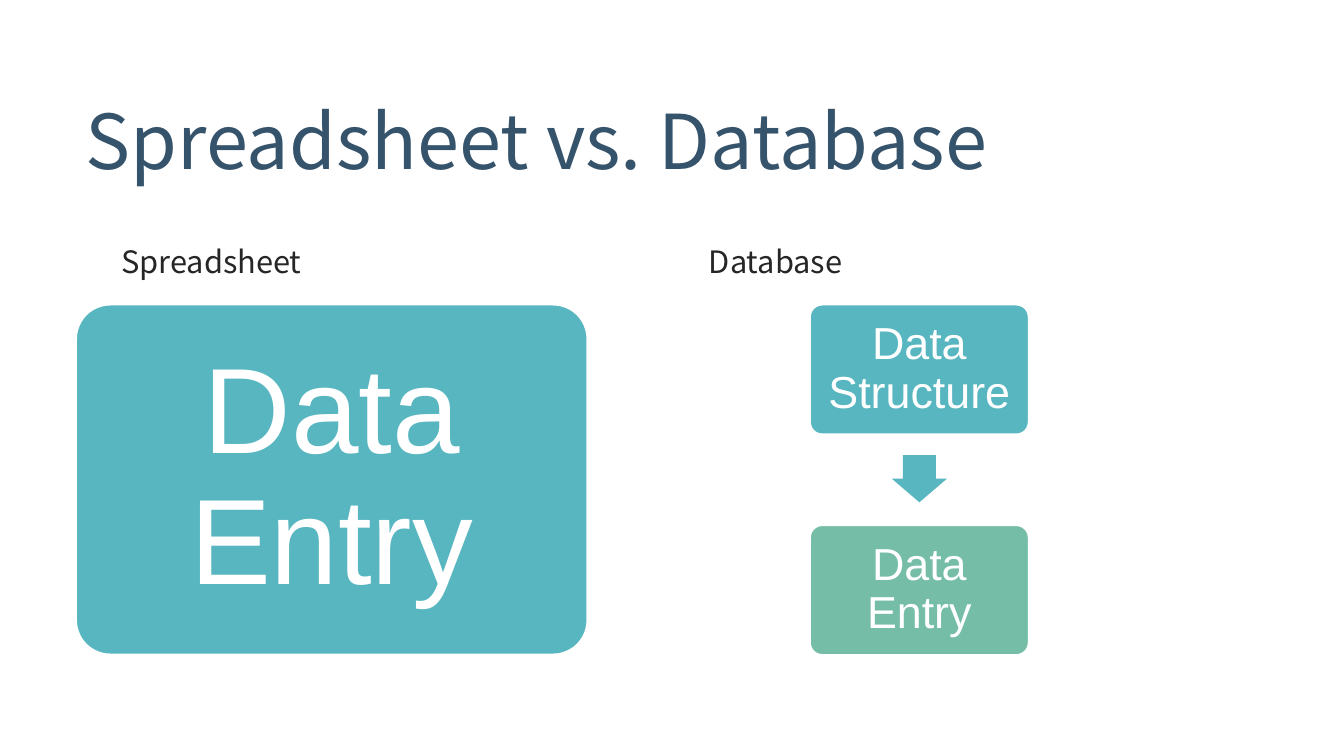
from dataclasses import dataclass

from pptx import Presentation
from pptx import util as u
from pptx.dml.color import RGBColor
from pptx.enum import shapes, text

NAVY = RGBColor(0x36, 0x53, 0x6C)
CHARCOAL = RGBColor(0x26, 0x26, 0x26)
TEAL = RGBColor(0x58, 0xB6, 0xC0)
GREEN = RGBColor(0x75, 0xBD, 0xA7)
WHITE = RGBColor(0xFF, 0xFF, 0xFF)

HEADING_FONT = "Noto Sans CJK KR"
STEP_FONT = "Arial"


@dataclass(frozen=True)
class Box:
    """Position and size in centimetres."""

    left: float
    top: float
    width: float
    height: float

    def lengths(self) -> tuple:
        return tuple(u.Cm(value) for value in (self.left, self.top, self.width, self.height))


@dataclass(frozen=True)
class Label:
    words: str
    box: Box
    size: float
    color: RGBColor
    left_inset: float = 0.25


@dataclass(frozen=True)
class Step:
    words: str
    box: Box
    fill: RGBColor
    size: float
    inset: float


COLUMN_TOP, COLUMN_WIDTH, COLUMN_HEIGHT = 4.24, 9.73, 1.5
STEP_TOP, STEP_LEFT, STEP_WIDTH, STEP_HEIGHT = 5.74, 15.29, 4.17, 2.49
STEP_PITCH = 4.17

LABELS = [Label("Spreadsheet vs. Database", Box(1.37, 1.04, 22.45, 3.45), 40.5, NAVY)] + [
    Label(words, Box(left, COLUMN_TOP, COLUMN_WIDTH, COLUMN_HEIGHT), 16.5, CHARCOAL, 0.88)
    for words, left in (("Spreadsheet", 1.42), ("Database", 12.52))
]
STEPS = [Step("Data Entry", Box(1.42, STEP_TOP, 9.7, 6.65), TEAL, 65, 0.67)] + [
    Step(words, Box(STEP_LEFT, STEP_TOP + row * STEP_PITCH, STEP_WIDTH, STEP_HEIGHT), fill, 24, 0.22)
    for row, (words, fill) in enumerate((("Data Structure", TEAL), ("Data Entry", GREEN)))
]
ARROW = Box(16.93, 8.53, 0.89, 1.04)


def write_text(shape, words: str, *, font: str, size: float, color: RGBColor,
               align=text.PP_ALIGN.LEFT, spacing: float = 0.85,
               left_inset: float = 0.25, right_inset: float = 0.25) -> None:
    frame = shape.text_frame
    frame.word_wrap = True
    frame.auto_size = text.MSO_AUTO_SIZE.NONE
    frame.vertical_anchor = text.MSO_ANCHOR.MIDDLE
    frame.margin_left, frame.margin_right = u.Cm(left_inset), u.Cm(right_inset)
    paragraph = frame.paragraphs[0]
    paragraph.alignment = align
    paragraph.line_spacing = spacing
    run = paragraph.add_run()
    run.text = words
    run.font.name = font
    run.font.size = u.Pt(size)
    run.font.color.rgb = color


def add_filled_shape(slide, kind: shapes.MSO_SHAPE, box: Box, fill: RGBColor):
    shape = slide.shapes.add_shape(kind, *box.lengths())
    shape.shadow.inherit = False
    shape.fill.solid()
    shape.fill.fore_color.rgb = fill
    shape.line.fill.background()
    return shape


def add_label(slide, label: Label) -> None:
    shape = slide.shapes.add_textbox(*label.box.lengths())
    write_text(shape, label.words, font=HEADING_FONT, size=label.size,
               color=label.color, left_inset=label.left_inset)


def add_step(slide, step: Step) -> None:
    shape = add_filled_shape(slide, shapes.MSO_SHAPE.ROUNDED_RECTANGLE, step.box, step.fill)
    shape.adjustments[0] = 0.1
    shape.line.color.rgb = WHITE
    shape.line.width = u.Pt(2)
    write_text(shape, step.words, font=STEP_FONT, size=step.size, color=WHITE,
               align=text.PP_ALIGN.CENTER, spacing=0.9,
               left_inset=step.inset, right_inset=step.inset)


def add_down_arrow(slide, box: Box) -> None:
    arrow = add_filled_shape(slide, shapes.MSO_SHAPE.RIGHT_ARROW, box, TEAL)
    arrow.rotation = 90
    arrow.adjustments[0] = 0.6
    arrow.adjustments[1] = 0.5


def main() -> None:
    presentation = Presentation()
    presentation.slide_width, presentation.slide_height = u.Cm(25.4), u.Cm(14.29)
    slide = presentation.slides.add_slide(presentation.slide_layouts[6])
    for label in LABELS:
        add_label(slide, label)
    for step in STEPS:
        add_step(slide, step)
    add_down_arrow(slide, ARROW)
    presentation.save("out.pptx")


if __name__ == "__main__":
    main()
